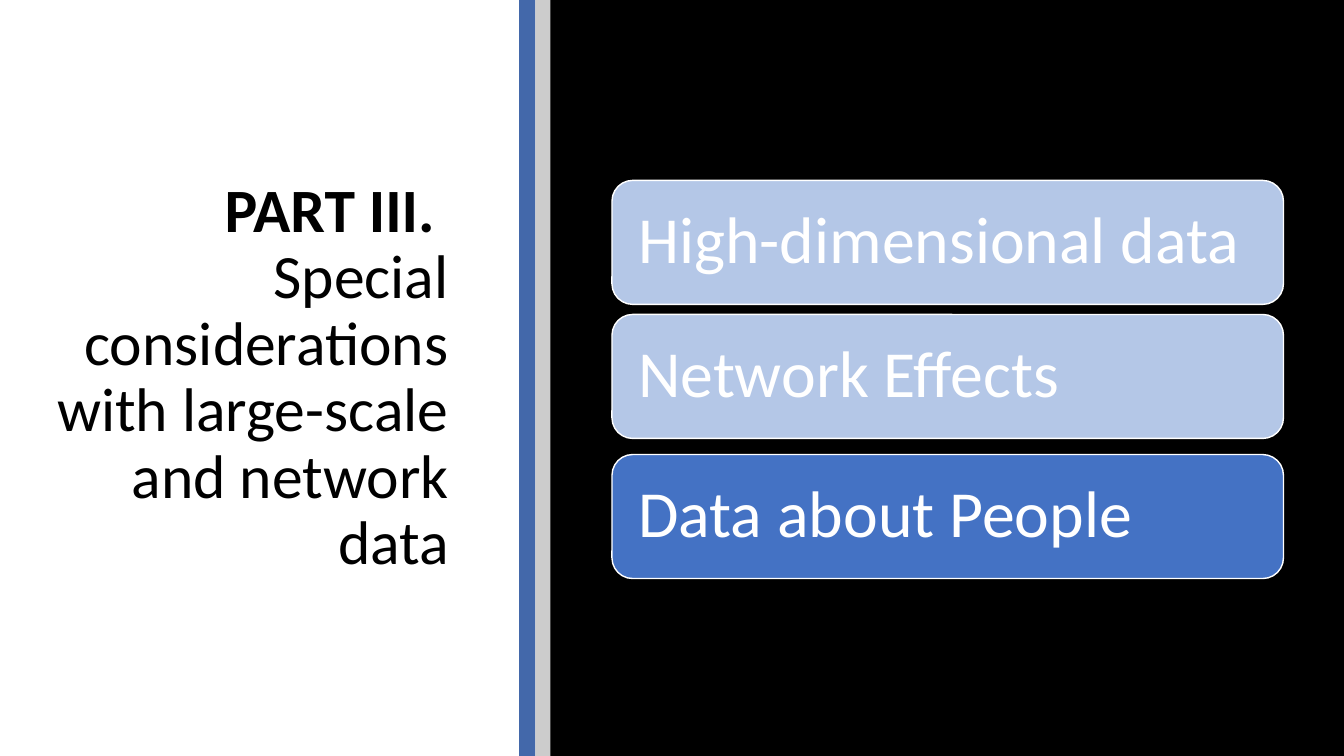
import pptx
import pptx.util
import pptx.dml.color
import pptx.enum.shapes
import pptx.enum.text

Inches = pptx.util.Inches
SHAPES = pptx.enum.shapes.MSO_SHAPE
ALIGN = pptx.enum.text.PP_ALIGN
FONT = "Calibri"


def colour(value):
    return pptx.dml.color.RGBColor.from_string(value)


def add_panel(page, kind, left, top, width, height, fill, line=None):
    panel = page.shapes.add_shape(
        kind, Inches(left), Inches(top), Inches(width), Inches(height))
    panel.shadow.inherit = False
    panel.fill.solid()
    panel.fill.fore_color.rgb = colour(fill)
    if line:
        panel.line.color.rgb = colour(line)
        panel.line.width = pptx.util.Pt(1)
    else:
        panel.line.fill.background()
    return panel


def prepare_text(box, align):
    frame = box.text_frame
    frame.word_wrap = True
    frame.vertical_anchor = pptx.enum.text.MSO_ANCHOR.MIDDLE
    para = frame.paragraphs[0]
    para.alignment = align
    para.line_spacing = 0.9
    return para


def add_span(para, text, size, hex_colour, bold=False):
    span = para.add_run()
    span.text = text
    span.font.name = FONT
    span.font.size = pptx.util.Pt(size)
    span.font.bold = bold
    span.font.color.rgb = colour(hex_colour)


def add_title(page, left, top, width, height):
    box = page.shapes.add_textbox(
        Inches(left), Inches(top), Inches(width), Inches(height))
    para = prepare_text(box, ALIGN.RIGHT)
    add_span(para, "PART III. ", 44, "000000", bold=True)
    para.add_line_break()
    add_span(para, "Special considerations with large-scale and network data",
             44, "000000")


def add_backdrop(page, left, top, width, height):
    # Two narrow stripes, then the black field
    stripe = 0.16
    add_panel(page, SHAPES.RECTANGLE, left, top, stripe, height, "4368AA")
    add_panel(page, SHAPES.RECTANGLE, left + stripe, top, stripe, height, "CCCCCC")
    field = 2 * stripe - 0.01
    add_panel(page, SHAPES.RECTANGLE, left + field, top, width - field, height,
              "000000")


def add_topics(page, left, top, width):
    # Offset from the top, label and fill of each topic; the current one is darker
    topics = [
        (0, "High-dimensional data", "B4C7E7"),
        (1.33, "Network Effects", "B4C7E7"),
        (2.72, "Data about People", "4472C4"),
    ]
    for offset, label, fill in topics:
        card = add_panel(page, SHAPES.ROUNDED_RECTANGLE, left, top + offset,
                         width, 1.23, fill, "FFFFFF")
        para = prepare_text(card, ALIGN.LEFT)
        frame = card.text_frame
        frame.margin_left = frame.margin_right = Inches(0.2)
        frame.margin_top = frame.margin_bottom = Inches(0.2)
        add_span(para, label, 47, "FFFFFF")


def main():
    deck = pptx.Presentation()
    deck.slide_width = Inches(13.33)
    deck.slide_height = Inches(7.5)
    page = deck.slides.add_slide(deck.slide_layouts[6])
    add_title(page, 0.4, 1.06, 4.15, 5.39)
    add_backdrop(page, 5.15, 0, 8.18, 7.5)
    add_topics(page, 6.07, 1.79, 6.66)
    deck.save("out.pptx")


if __name__ == "__main__":
    main()
